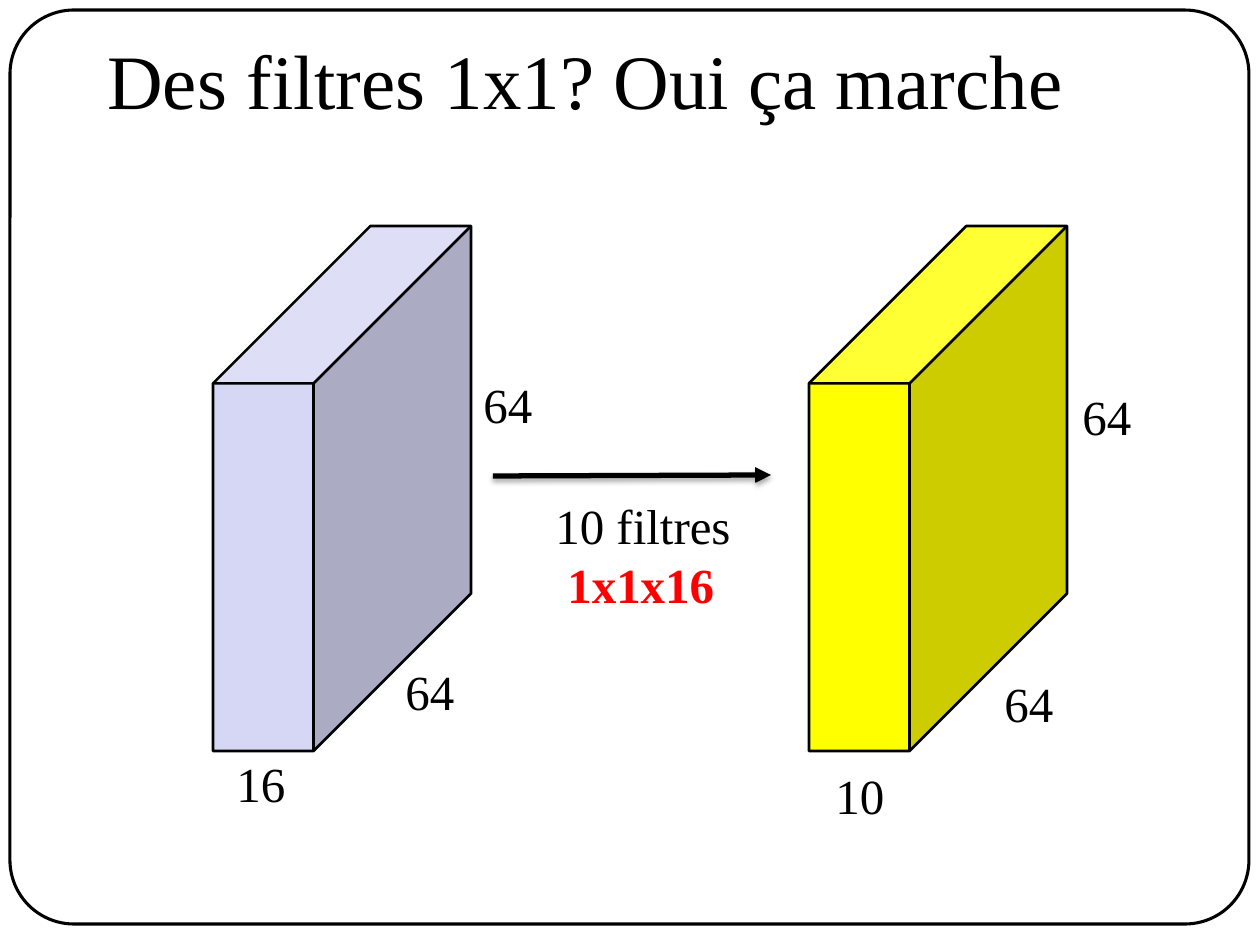
from dataclasses import dataclass

from lxml import etree
from pptx import Presentation
from pptx.dml.color import RGBColor as RGB
from pptx.enum.shapes import MSO_CONNECTOR as CONN, MSO_SHAPE as SHAPE
from pptx.enum.text import MSO_ANCHOR as ANCHOR, MSO_AUTO_SIZE as AUTO
from pptx.oxml import parse_xml
from pptx.oxml.ns import nsdecls, qn
from pptx.util import Emu, Pt


@dataclass(frozen=True)
class Theme:
    font: str = "Times New Roman"
    ink: str = "000000"
    accent: str = "FF0000"
    lilac: str = "D6D6F5"
    yellow: str = "FFFF00"
    title: int = 44
    body: int = 28


T = Theme()
PX = 914400 // 126

TITLE = "Des filtres 1x1? Oui ça marche"
FILTERS = ("10 filtres", "1x1x16")
FILTER_INDENT = 12
FRAME = (10, 10, 1239, 914)
TITLE_BOX = (95, 0, 1003, 158)
FILTER_BOX = (543, 489, 203, 131)
ARROW = (493, 476, 771, 475)

CUBE_TOP, CUBE_SIZE = 226, (258, 525)
LABEL_SIZE = (74, 72)
# Cube left, colour, label origin, then height, depth and thickness labels
VOLUMES = [
    (213, T.lilac, (224, 368), ("64", "64", "16")),
    (809, T.yellow, (823, 380), ("64", "64", "10")),
]
LABEL_OFFSETS = [(247, 0), (169, 287), (0, 379)]


def px(*values):
    return [Emu(v * PX) for v in values]


def add_outline(s, kind, box, adjustment, width, fill=None):
    sp = s.shapes.add_shape(kind, *px(*box))
    sp.shadow.inherit = False
    sp.adjustments[0] = adjustment
    sp.line.color.rgb = RGB.from_string(T.ink)
    sp.line.width = Pt(width)
    if fill:
        sp.fill.solid()
        sp.fill.fore_color.rgb = RGB.from_string(fill)
    else:
        sp.fill.background()


def add_text(s, box, text, size=T.body, wrap=False):
    tf = s.shapes.add_textbox(*px(*box)).text_frame
    tf.text = text
    tf.word_wrap = wrap
    tf.auto_size = AUTO.NONE if wrap else AUTO.SHAPE_TO_FIT_TEXT
    for p in tf.paragraphs:
        for r in p.runs:
            r.font.name = T.font
            r.font.size = Pt(size)
            r.font.color.rgb = RGB.from_string(T.ink)
    return tf


def add_arrow(s, ends):
    """Straight arrow with a soft shadow below it."""
    line = s.shapes.add_connector(CONN.STRAIGHT, *px(*ends))
    line.line.color.rgb = RGB.from_string(T.ink)
    line.line.width = Pt(3)
    etree.SubElement(line.line._get_or_add_ln(), qn("a:tailEnd"), type="triangle")
    line._element.spPr.append(parse_xml(
        f'<a:effectLst {nsdecls("a")}>'
        f'<a:outerShdw blurRad="{Pt(3.1)}" dist="{Pt(1.8)}" dir="5400000" rotWithShape="0">'
        f'<a:srgbClr val="{T.ink}"><a:alpha val="35000"/></a:srgbClr>'
        '</a:outerShdw></a:effectLst>'))


def main():
    prs = Presentation()
    prs.slide_width, prs.slide_height = px(1260, 945)
    s = prs.slides.add_slide(prs.slide_layouts[6])

    add_outline(s, SHAPE.ROUNDED_RECTANGLE, FRAME, 0.07, 1.75)
    add_text(s, TITLE_BOX, TITLE, T.title, wrap=True).vertical_anchor = ANCHOR.MIDDLE

    for left, colour, (x, y), labels in VOLUMES:
        add_outline(s, SHAPE.CUBE, (left, CUBE_TOP, *CUBE_SIZE), 0.61, 1.5, colour)
        for (dx, dy), label in zip(LABEL_OFFSETS, labels):
            add_text(s, (x + dx, y + dy, *LABEL_SIZE), label)

    add_arrow(s, ARROW)
    size = add_text(s, FILTER_BOX, "\n".join(FILTERS)).paragraphs[1]
    size._p.get_or_add_pPr().set("marL", str(FILTER_INDENT * PX))
    font = size.runs[0].font
    font.bold = True
    font.color.rgb = RGB.from_string(T.accent)

    prs.save("out.pptx")


if __name__ == "__main__":
    main()
